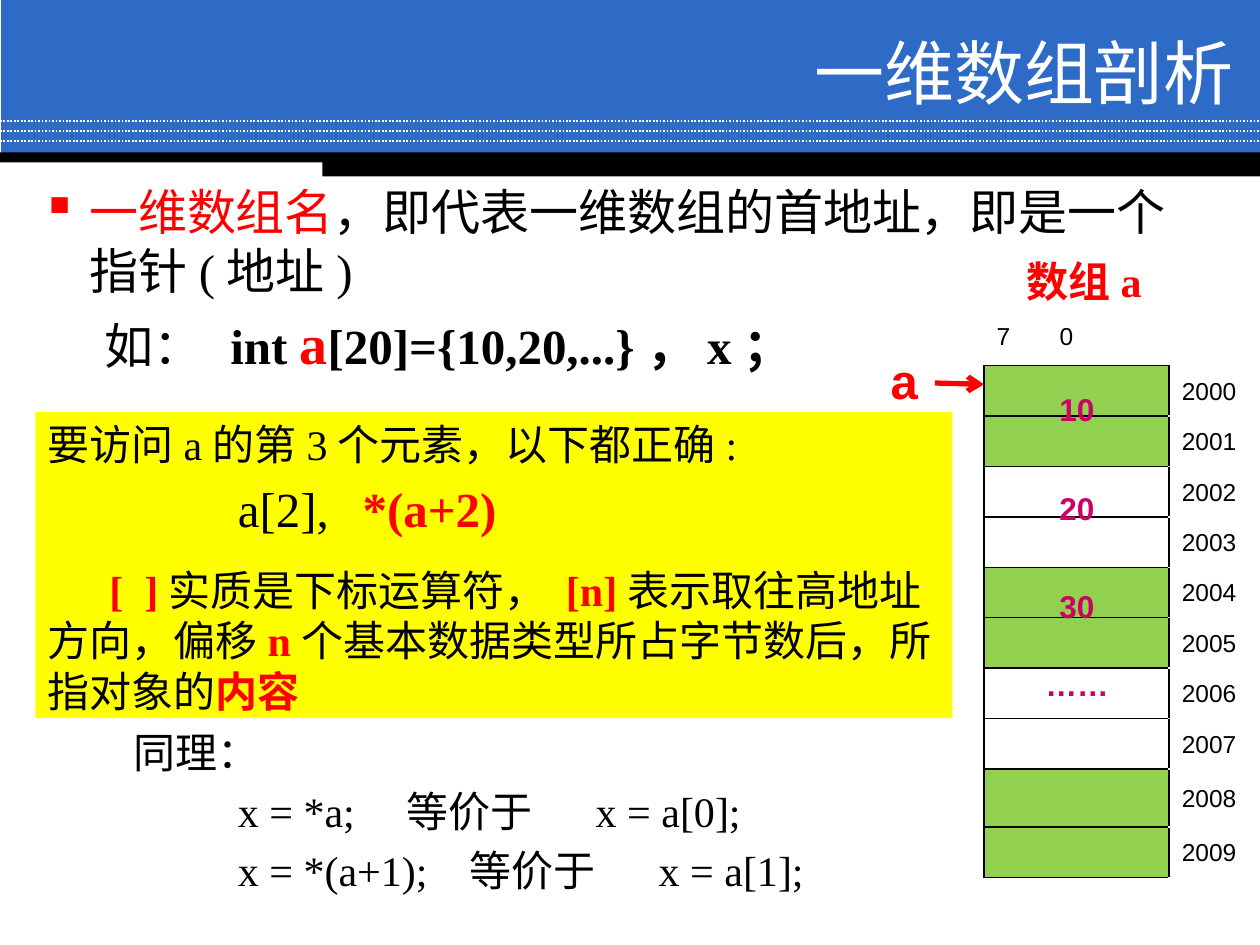
"""Build a slide on how a one-dimensional array name acts as a pointer."""
from dataclasses import dataclass
from typing import Optional

from lxml import etree
from pptx import Presentation
from pptx.dml.color import RGBColor
from pptx.enum.dml import MSO_LINE
from pptx.enum.shapes import MSO_CONNECTOR, MSO_SHAPE
from pptx.enum.text import MSO_ANCHOR, PP_ALIGN
from pptx.oxml.ns import qn
from pptx.util import Inches, Pt

RECT = MSO_SHAPE.RECTANGLE
LINE = MSO_CONNECTOR.STRAIGHT
DOTS = MSO_LINE.ROUND_DOT
TOP, MID = MSO_ANCHOR.TOP, MSO_ANCHOR.MIDDLE
LEFT, RIGHT = PP_ALIGN.LEFT, PP_ALIGN.RIGHT

COLS, ROWS = 100, 75
CELL = Inches(0.1)
SERIF, SANS, HAN = "Times New Roman", "Arial", "Noto Sans CJK SC"
HUES = {
    "blue": "2D6BC7", "white": "FFFFFF", "black": "000000", "red": "FF0000",
    "green": "92D050", "pink": "CC0066", "gold": "FFFF00",
}


@dataclass
class Run:
    text: str
    hue: str = "black"
    bold: bool = False
    size: Optional[int] = None


@dataclass
class Para:
    runs: list[Run]
    size: int = 24
    face: str = SERIF
    lead: float = 0
    marg: float = 0
    tabs: tuple[float, ...] = ()
    gap: float = 0
    mark: str = ""
    side: PP_ALIGN = LEFT


@dataclass
class Box:
    area: tuple[float, float, float, float]
    paras: list[Para]
    fill: str = ""
    hold: MSO_ANCHOR = TOP


@dataclass
class Rule:
    start: tuple[float, float]
    end: tuple[float, float]
    hue: str
    width: float


def grid(*spans: float) -> list[int]:
    return [round(span * CELL) for span in spans]


def shade(name: str) -> RGBColor:
    return RGBColor.from_string(HUES[name])


def add(parent, tag: str, **attrs: str):
    return etree.SubElement(parent, qn(tag), attrs)


def write(para, item: Para) -> None:
    props = para._p.get_or_add_pPr()
    for key, span in {"marL": item.marg, "indent": item.lead}.items():
        props.set(key, str(grid(span)[0]))
    tall = max(run.size or item.size for run in item.runs)
    look = {"alignment": item.side, "space_before": Pt(item.gap),
            "line_spacing": Pt(round(tall * 1.2, 1))}
    for key, value in look.items():
        setattr(para, key, value)
    if item.mark:
        add(add(props, "a:buClr"), "a:srgbClr", val=HUES["red"])
        add(props, "a:buChar", char=item.mark)
    else:
        add(props, "a:buNone")
    if item.tabs:
        stops = add(props, "a:tabLst")
        for stop in item.tabs:
            add(stops, "a:tab", pos=str(grid(stop)[0]), algn="l")
    for part in item.runs:
        run = para.add_run()
        run.text = part.text
        form = {"name": item.face, "size": Pt(part.size or item.size), "bold": part.bold}
        for key, value in form.items():
            setattr(run.font, key, value)
        run.font.color.rgb = shade(part.hue)
        add(run._r.get_or_add_rPr(), "a:ea", typeface=HAN)


def block(slide, area: tuple, fill: str):
    shape = slide.shapes.add_shape(RECT, *grid(*area))
    shape.shadow.inherit = False
    shape.fill.solid()
    shape.fill.fore_color.rgb = shade(fill)
    shape.line.fill.background()
    return shape


def place(slide, box: Box) -> None:
    if box.fill:
        shape = block(slide, box.area, box.fill)
    else:
        shape = slide.shapes.add_textbox(*grid(*box.area))
    frame = shape.text_frame
    for key, value in {"word_wrap": True, "vertical_anchor": box.hold}.items():
        setattr(frame, key, value)
    for rank, item in enumerate(box.paras):
        write(frame.add_paragraph() if rank else frame.paragraphs[0], item)


def stroke(slide, rule: Rule):
    link = slide.shapes.add_connector(LINE, *grid(*rule.start, *rule.end))
    link.line.color.rgb = shade(rule.hue)
    link.line.width = Pt(rule.width)
    add(link._element.spPr, "a:effectLst")
    return link


def edge(cell, sides: str) -> None:
    props = cell._tc.get_or_add_tcPr()
    for rank, side in enumerate(sides):
        line = etree.Element(qn("a:ln" + side), w=str(Pt(1)))
        add(add(line, "a:solidFill"), "a:srgbClr", val=HUES["black"])
        props.insert(rank, line)


def memory(slide) -> None:
    tall = [3.3] + [4] * 8 + [4.6, 4]
    wide = [14.7, 7.2]
    table = slide.shapes.add_table(len(tall), 2, *grid(78.1, 25, sum(wide), sum(tall))).table
    table.first_row = table.horz_banding = False
    for col, span in zip(table.columns, grid(*wide)):
        col.width = span
    for rank, (row, span) in enumerate(zip(table.rows, grid(*tall))):
        row.height = span
        slot, label = row.cells
        for cell in (slot, label):
            cell.fill.background()
            cell.vertical_anchor = MID if rank else TOP
        if rank in (1, 2, 5, 6, 9, 10):
            slot.fill.solid()
            slot.fill.fore_color.rgb = shade("green")
        edge(slot, "LRTB" if rank else "B")
        edge(label, "L" if rank else "")
        if rank:
            write(label.text_frame.paragraphs[0], Para([Run(str(1999 + rank))], 14, SANS))
        else:
            write(slot.text_frame.paragraphs[0], Para([Run("7\t0")], 14, SANS, tabs=(11.35,)))


def label(text: str, area: tuple, hue: str, size: int, face: str = SANS) -> Box:
    return Box(area, [Para([Run(text, hue, True)], size, face)])


BARS = [((0.1, 0, 99.9, 12.3), "blue"), ((0, 12.1, COLS, 0.8), "black"),
        ((25.6, 12.4, 74.4, 1.6), "black")]
TITLE = Box((29.7, 2.8, 69.2, 5.8),
            [Para([Run("一维数组剖析", "white")], 40, HAN, side=RIGHT)], hold=MID)
INTRO = Box((2.3, 13.9, 93, 19.2), [
    Para([Run("一维数组名", "red"), Run("，即代表一维数组的首地址，即是一个指针(地址)")],
         28, lead=-3.8, marg=3.8, mark="▪"),
    Para([Run("如：\t"), Run("int ", bold=True), Run("a", "red", True, 32),
          Run("[20]={10,20,...}，x；", bold=True)], 28, lead=5, tabs=(17.7,), gap=5.6),
])
ALIKE = Box((6.3, 57.2, 63.6, 17.8), [
    Para([Run("同理：")], face=HAN, lead=3.3),
    Para([Run("x = *a;\t等价于\tx = a[0];")], lead=11.6, tabs=(28.8, 41), gap=4.8),
    Para([Run("x = *(a+1);\t等价于\tx = a[1];")], lead=11.6, tabs=(30, 42.3), gap=4.8),
])
NOTE = Box((2.8, 32.7, 72.8, 24.3), [
    Para([Run("要访问a的第3个元素，以下都正确:")]),
    Para([Run("a[2],\t"), Run("*(a+2)", "red", True)], 28, lead=15.1, tabs=(25.2,), gap=5.6),
    Para([Run("[  ]", "red", True), Run("实质是下标运算符， "), Run("[n]", "red", True),
          Run("表示取往高地址方向，偏移"), Run("n", "red", True),
          Run("个基本数据类型所占字节数后，所指对象的"), Run("内容", "red", True)],
         lead=4.9, gap=15.6),
], "gold")
ITEMS = [label(str(10 * rank), (83.1, 22.7 + 7.8 * rank, 6.2, 4), "pink", 18)
         for rank in (1, 2, 3)]
TAGS = ITEMS + [
    label("……", (82, 52.3, 7.8, 4), "pink", 18),
    label("a", (69.7, 27.3, 3.1, 5.7), "red", 28),
    label("数组a", (80.5, 19.8, 11.6, 5), "red", 24, SERIF),
]


def main() -> None:
    deck = Presentation()
    deck.slide_width, deck.slide_height = grid(COLS, ROWS)
    slide = deck.slides.add_slide(deck.slide_layouts[6])
    for area, fill in BARS:
        block(slide, area, fill)
    for row in (9.6, 10.4, 11.2):
        stroke(slide, Rule((0, row), (COLS, row), "white", 1)).line.dash_style = DOTS
    for box in (TITLE, INTRO, ALIKE):
        place(slide, box)
    memory(slide)
    for box in [NOTE] + TAGS:
        place(slide, box)
    arrow = stroke(slide, Rule((74.2, 30.4), (78.1, 30.5), "red", 3))
    add(arrow.line._get_or_add_ln(), "a:tailEnd", type="arrow")
    deck.save("out.pptx")


if __name__ == "__main__":
    main()
